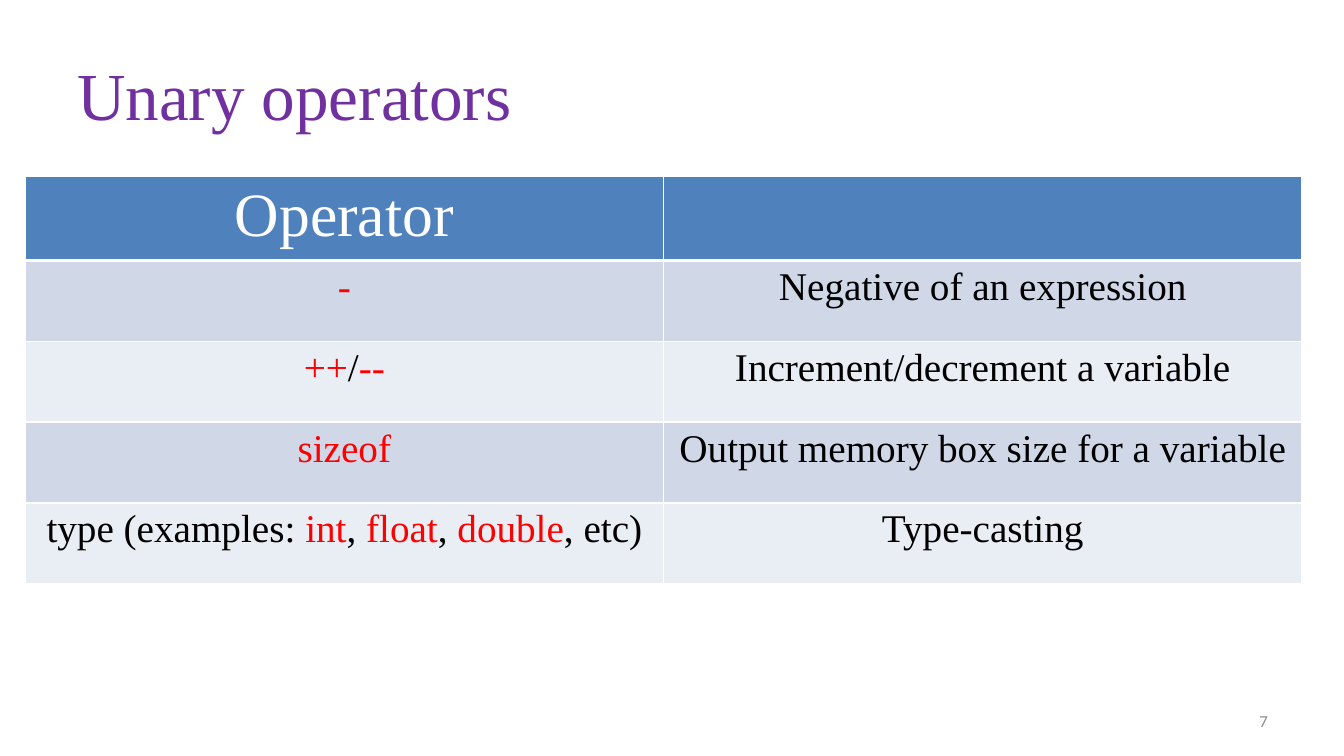
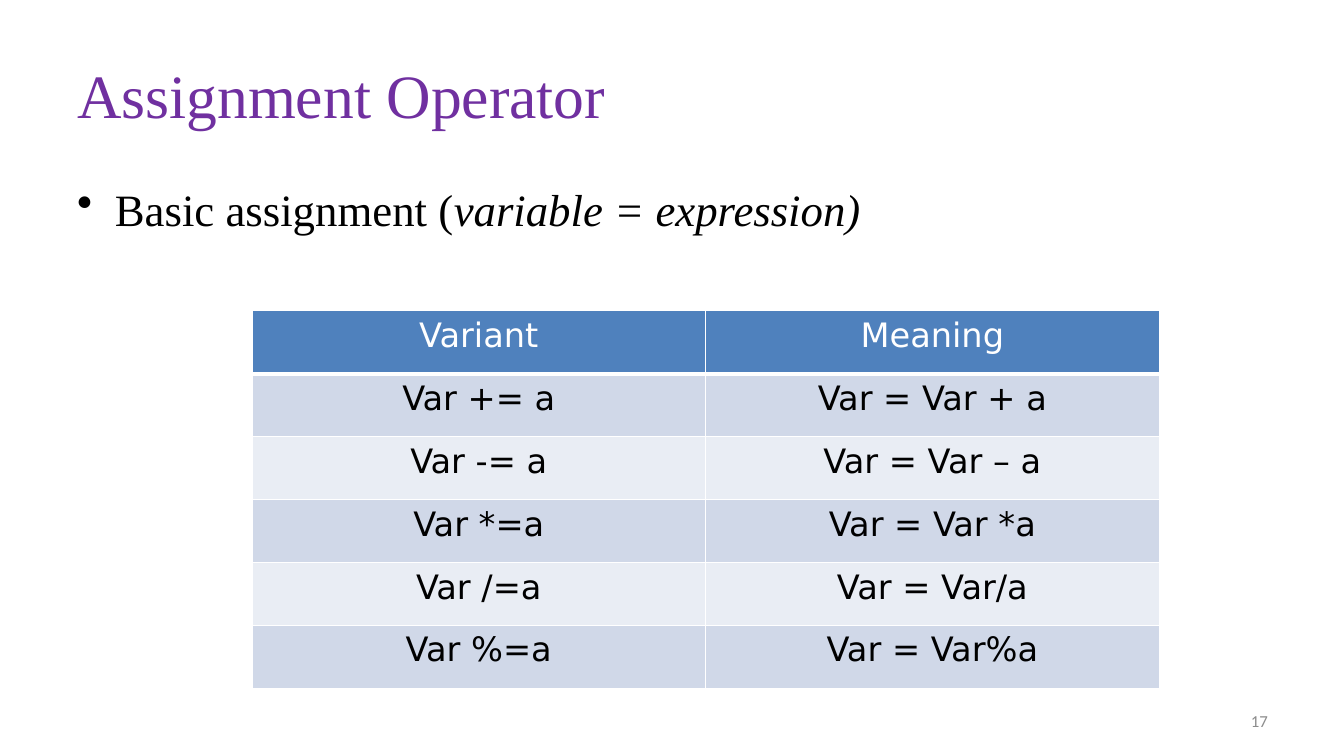
from dataclasses import dataclass
from typing import NamedTuple

from lxml.etree import SubElement
from pptx import Presentation
from pptx.dml.color import RGBColor
from pptx.enum.text import MSO_ANCHOR, PP_ALIGN
from pptx.oxml.ns import qn
from pptx.util import Pt

PX = 9525  # EMU in one px, 96 px to the inch
WIDE, HIGH = 1280, 720
COLORS = {
    "title": "7030A0",
    "head": "4F81BD",
    "odd": "D0D8E8",
    "even": "E9EDF4",
    "white": "FFFFFF",
    "text": "000000",
    "code": "FF0000",
    "page": "8C8C8C",
}
SERIF, SANS, SMALL = "Times New Roman", "DejaVu Sans", "Calibri"


class Box(NamedTuple):
    left: int
    top: int
    width: int
    height: int

    def emu(self) -> list[int]:
        return [side * PX for side in self]


class Run(NamedTuple):
    text: str
    color: str = ""
    italic: bool = False


class Style(NamedTuple):
    face: str
    size: int
    color: str
    align: PP_ALIGN = PP_ALIGN.LEFT


@dataclass
class Grid:
    left: int
    top: int
    col: int
    row: int
    head: Style
    body: Style
    rows: list


TITLE = Box(64, 29, 1152, 120)
BODY = Box(64, 168, 1152, 475)
PAGE = Box(918, 667, 299, 38)
INDENT = 36
POINT = Style(SERIF, 32, "text")
NUMBER = Style(SMALL, 12, "page", PP_ALIGN.RIGHT)


def color(name: str) -> RGBColor:
    return RGBColor.from_string(COLORS[name])


def write(frame, runs, style: Style):
    """Fill the first paragraph with one string or a list of runs."""
    para = frame.paragraphs[0]
    para.alignment = style.align
    para.font.name = style.face
    para.font.size = Pt(style.size)
    para.font.color.rgb = color(style.color)
    for item in [Run(runs)] if isinstance(runs, str) else runs:
        run = para.add_run()
        run.text = item.text
        if item.color:
            run.font.color.rgb = color(item.color)
        if item.italic:
            run.font.italic = True
    return para


def add_text(slide, box: Box, runs, style: Style, anchor=MSO_ANCHOR.MIDDLE):
    frame = slide.shapes.add_textbox(*box.emu()).text_frame
    frame.word_wrap = True
    frame.vertical_anchor = anchor
    return write(frame, runs, style)


def add_point(slide, runs) -> None:
    para = add_text(slide, BODY, runs, POINT, MSO_ANCHOR.TOP)
    para.space_before = Pt(6.4)
    props = para._p.get_or_add_pPr()
    props.set("marL", str(INDENT * PX))
    props.set("indent", str(-INDENT * PX))
    mark = props.makeelement(qn("a:buChar"), {"char": "•"})
    props.find(qn("a:defRPr")).addprevious(mark)


def add_lines(cell, base: int) -> None:
    """Draw white cell borders; base is the bottom width in points."""
    props = cell._tc.get_or_add_tcPr()
    sides = {"lnL": 1, "lnR": 1, "lnT": 1, "lnB": base}
    for spot, (tag, width) in enumerate(sides.items()):
        line = props.makeelement(qn(f"a:{tag}"), {"w": str(Pt(width))})
        fill = SubElement(line, qn("a:solidFill"))
        SubElement(fill, qn("a:srgbClr"), val=COLORS["white"])
        props.insert(spot, line)


def add_grid(slide, grid: Grid) -> None:
    count, cols = len(grid.rows), len(grid.rows[0])
    box = Box(grid.left, grid.top, grid.col * cols, grid.row * count)
    table = slide.shapes.add_table(count, cols, *box.emu()).table
    for r, row in enumerate(grid.rows):
        table.rows[r].height = grid.row * PX
        shade = "head" if r == 0 else "odd" if r % 2 else "even"
        for c, runs in enumerate(row):
            cell = table.cell(r, c)
            cell.fill.solid()
            cell.fill.fore_color.rgb = color(shade)
            add_lines(cell, 1 if r else 3)
            if runs:
                write(cell.text_frame, runs, grid.body if r else grid.head)


def add_page(deck, title: str, size: int, number: int):
    """Start a slide with the shared title and page number."""
    slide = deck.slides.add_slide(deck.slide_layouts[6])
    add_text(slide, TITLE, title, Style(SERIF, size, "title"))
    add_text(slide, PAGE, str(number), NUMBER)
    return slide


def code(text: str) -> Run:
    return Run(text, "code")


UNARY = Grid(
    24, 168, 608, 77,
    Style(SERIF, 44, "white", PP_ALIGN.CENTER),
    Style(SERIF, 28, "text", PP_ALIGN.CENTER),
    [
        ("Operator", ""),
        ([code("-")], "Negative of an expression"),
        ([code("++"), Run("/"), code("--")], "Increment/decrement a variable"),
        ([code("sizeof")], "Output memory box size for a variable"),
        (
            [Run("type (examples: "), code("int"), Run(", "), code("float"),
             Run(", "), code("double"), Run(", etc)")],
            "Type-casting",
        ),
    ],
)
ASSIGN = Grid(
    240, 296, 432, 60,
    Style(SANS, 24, "white", PP_ALIGN.CENTER),
    Style(SANS, 24, "text", PP_ALIGN.CENTER),
    [
        ("Variant", "Meaning"),
        ("Var += a", "Var = Var + a"),
        ("Var -= a", "Var = Var – a"),
        ("Var *=a", "Var = Var *a"),
        ("Var /=a", "Var = Var/a"),
        ("Var %=a", "Var = Var%a"),
    ],
)


def main() -> None:
    deck = Presentation()
    deck.slide_width, deck.slide_height = WIDE * PX, HIGH * PX

    # Unary operators
    slide = add_page(deck, "Unary operators", 48, 7)
    add_grid(slide, UNARY)

    # Assignment operator
    slide = add_page(deck, "Assignment Operator", 44, 17)
    add_point(slide, [Run("Basic assignment ("),
                      Run("variable = expression)", italic=True)])
    add_grid(slide, ASSIGN)

    deck.save("out.pptx")


if __name__ == "__main__":
    main()
